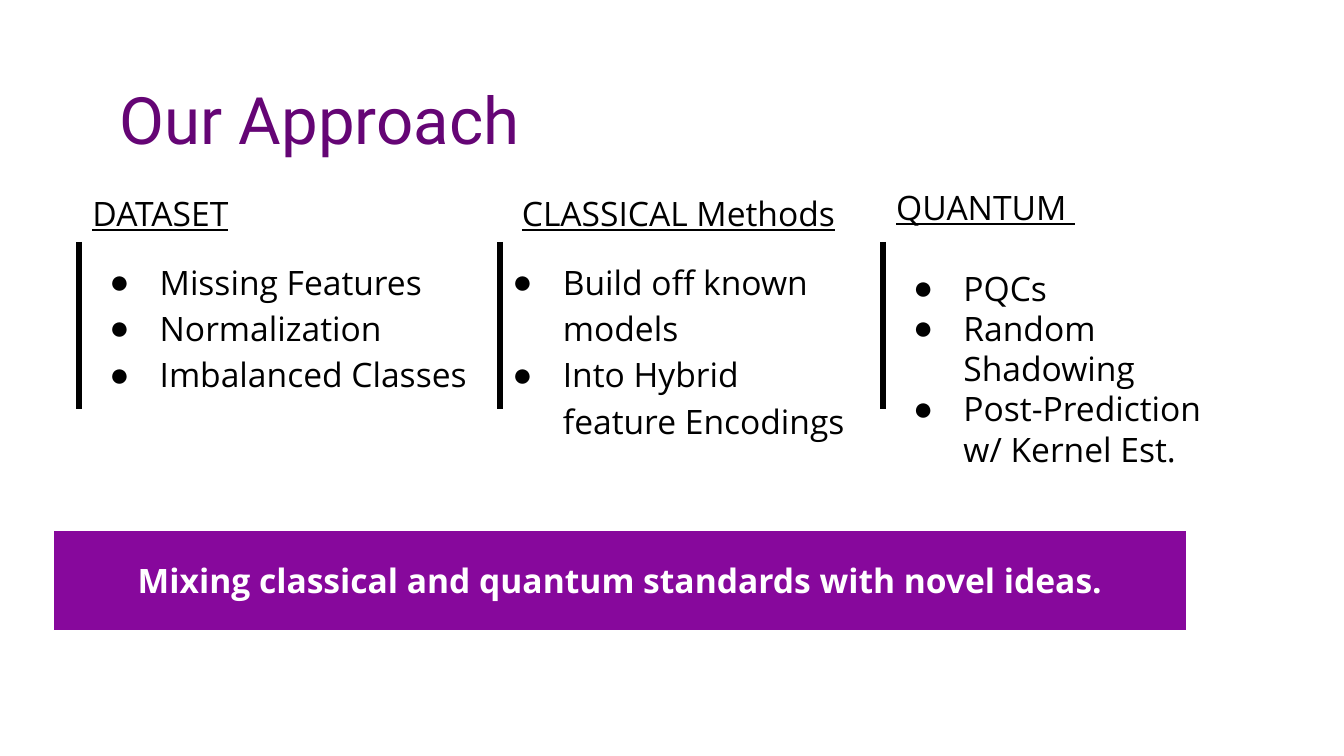
from lxml import etree
from pptx import Presentation
from pptx.dml.color import RGBColor
from pptx.enum.shapes import MSO_CONNECTOR, MSO_SHAPE
from pptx.enum.text import MSO_ANCHOR, MSO_AUTO_SIZE, PP_ALIGN
from pptx.oxml.ns import qn
from pptx.util import Pt

PX = 4572
TITLE_ONLY = 5
LINE = MSO_CONNECTOR.STRAIGHT
RECT = MSO_SHAPE.RECTANGLE
TOP, MIDDLE = MSO_ANCHOR.TOP, MSO_ANCHOR.MIDDLE
LEFT, CENTER = PP_ALIGN.LEFT, PP_ALIGN.CENTER
NO_FIT = MSO_AUTO_SIZE.NONE

PURPLE = RGBColor(0x65, 0x05, 0x75)
VIOLET = RGBColor(0x87, 0x08, 0x9C)
BLACK = RGBColor(0, 0, 0)
WHITE = RGBColor(255, 255, 255)

COLUMNS = [
    dict(left=118, width=600, heading="DATASET", indent=0, spacing=1.15, gap=12,
         items=["Missing Features", "Normalization", "Imbalanced Classes"]),
    dict(left=718, width=572, heading="CLASSICAL Methods", indent=39, spacing=1.15, gap=12,
         items=["Build off known models", "Into Hybrid feature Encodings"]),
    dict(left=1314, width=530, heading="QUANTUM ", indent=0, spacing=1.0, gap=21.6,
         items=["PQCs", "Random Shadowing", "Post-Prediction w/ Kernel Est."]),
]
RULE_LEFTS = [118, 744, 1314]


def px(*values):
    return [v * PX for v in values]


def set_frame(tf, anchor=TOP):
    tf.word_wrap = True
    tf.auto_size = NO_FIT
    tf.vertical_anchor = anchor
    tf.margin_left = tf.margin_top = tf.margin_right = tf.margin_bottom = 20 * PX


def add_run(p, text, color, size=18, font="Open Sans", bold=False, underline=False):
    r = p.add_run()
    r.text = text
    r.font.name = font
    r.font.size = Pt(size)
    r.font.color.rgb = color
    r.font.bold = bold
    r.font.underline = underline


def add_bullet(p):
    pPr = p._p.get_or_add_pPr()
    pPr.set("marL", str(100 * PX))
    pPr.set("indent", str(-75 * PX))
    clr = etree.SubElement(pPr, qn("a:buClr"))
    etree.SubElement(clr, qn("a:srgbClr"), val=str(BLACK))
    etree.SubElement(pPr, qn("a:buFont"), typeface="Arial")
    etree.SubElement(pPr, qn("a:buChar"), char="●")


def add_title(s, text):
    sp = s.shapes.title
    sp.left, sp.top, sp.width, sp.height = px(158, 98, 1686, 126)
    set_frame(sp.text_frame)
    p = sp.text_frame.paragraphs[0]
    p.alignment = LEFT
    p.line_spacing = 1.0
    add_run(p, text, PURPLE, 35, "Roboto")


def add_column(s, left, width, heading, indent, spacing, gap, items):
    tf = s.shapes.add_textbox(*px(left, 258, width, 94)).text_frame
    set_frame(tf)
    p = tf.paragraphs[0]
    p._p.get_or_add_pPr().set("marL", str(indent * PX))
    p.line_spacing = spacing
    add_run(p, heading, BLACK, underline=True)
    for i, item in enumerate(items):
        p = tf.add_paragraph()
        add_bullet(p)
        p.line_spacing = spacing
        p.space_before = Pt(0 if i else gap)
        add_run(p, item, BLACK)


def add_rule(s, left):
    line = s.shapes.add_connector(LINE, *px(left, 360, left, 608))
    line.line.color.rgb = BLACK
    line.line.width = Pt(3)
    etree.SubElement(line._element.spPr, qn("a:effectLst"))


def add_banner(s, text):
    sp = s.shapes.add_shape(RECT, *px(80, 790, 1686, 148))
    sp.shadow.inherit = False
    sp.fill.solid()
    sp.fill.fore_color.rgb = VIOLET
    sp.line.color.rgb = WHITE
    sp.line.width = Pt(0.75)
    set_frame(sp.text_frame, MIDDLE)
    p = sp.text_frame.paragraphs[0]
    p.alignment = CENTER
    add_run(p, text, WHITE, bold=True)


def main():
    prs = Presentation()
    prs.slide_width, prs.slide_height = px(2000, 1125)
    s = prs.slides.add_slide(prs.slide_layouts[TITLE_ONLY])
    add_title(s, "Our Approach")
    for column in COLUMNS:
        add_column(s, **column)
    for left in RULE_LEFTS:
        add_rule(s, left)
    add_banner(s, "Mixing classical and quantum standards with novel ideas.")
    prs.save("out.pptx")


if __name__ == "__main__":
    main()
